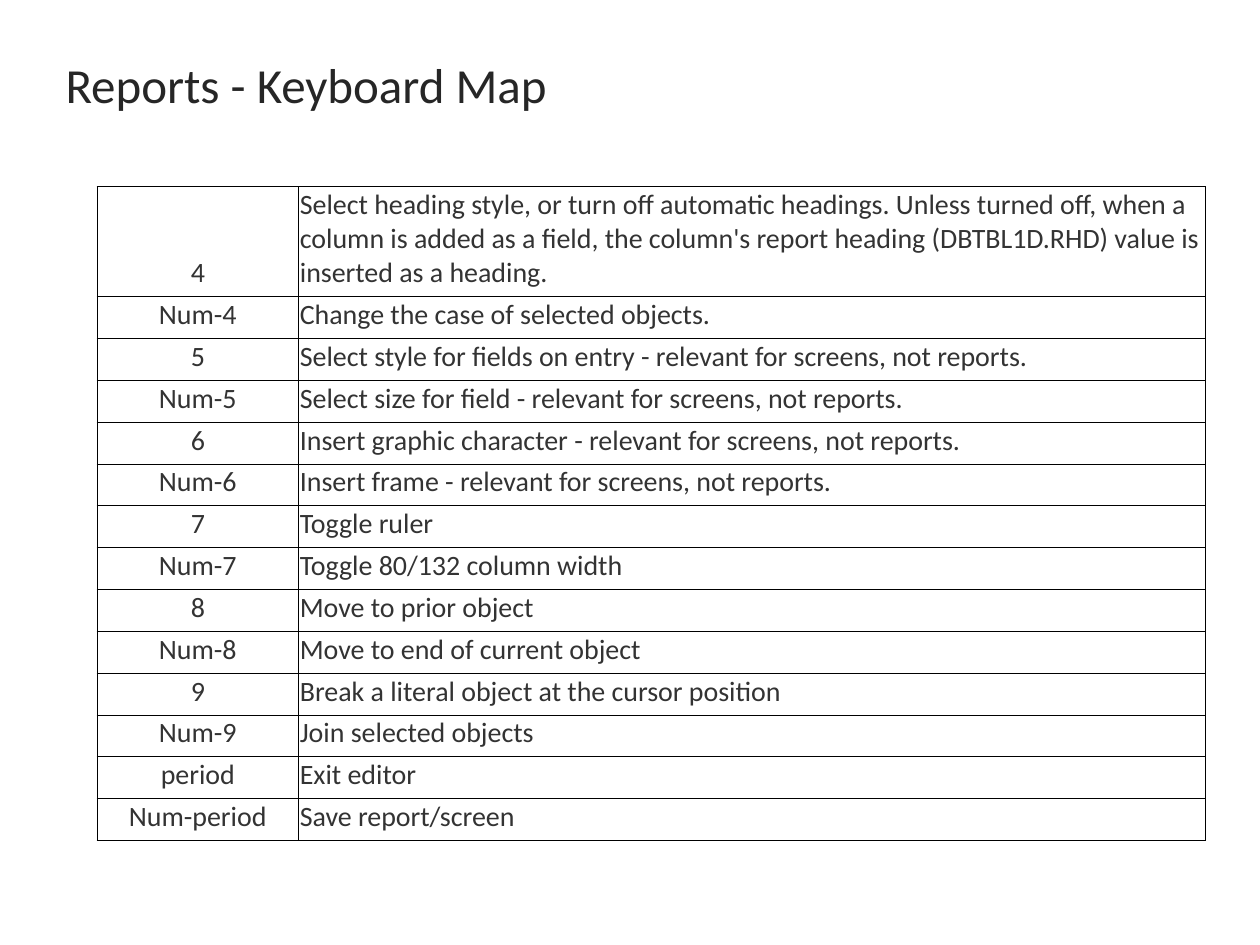
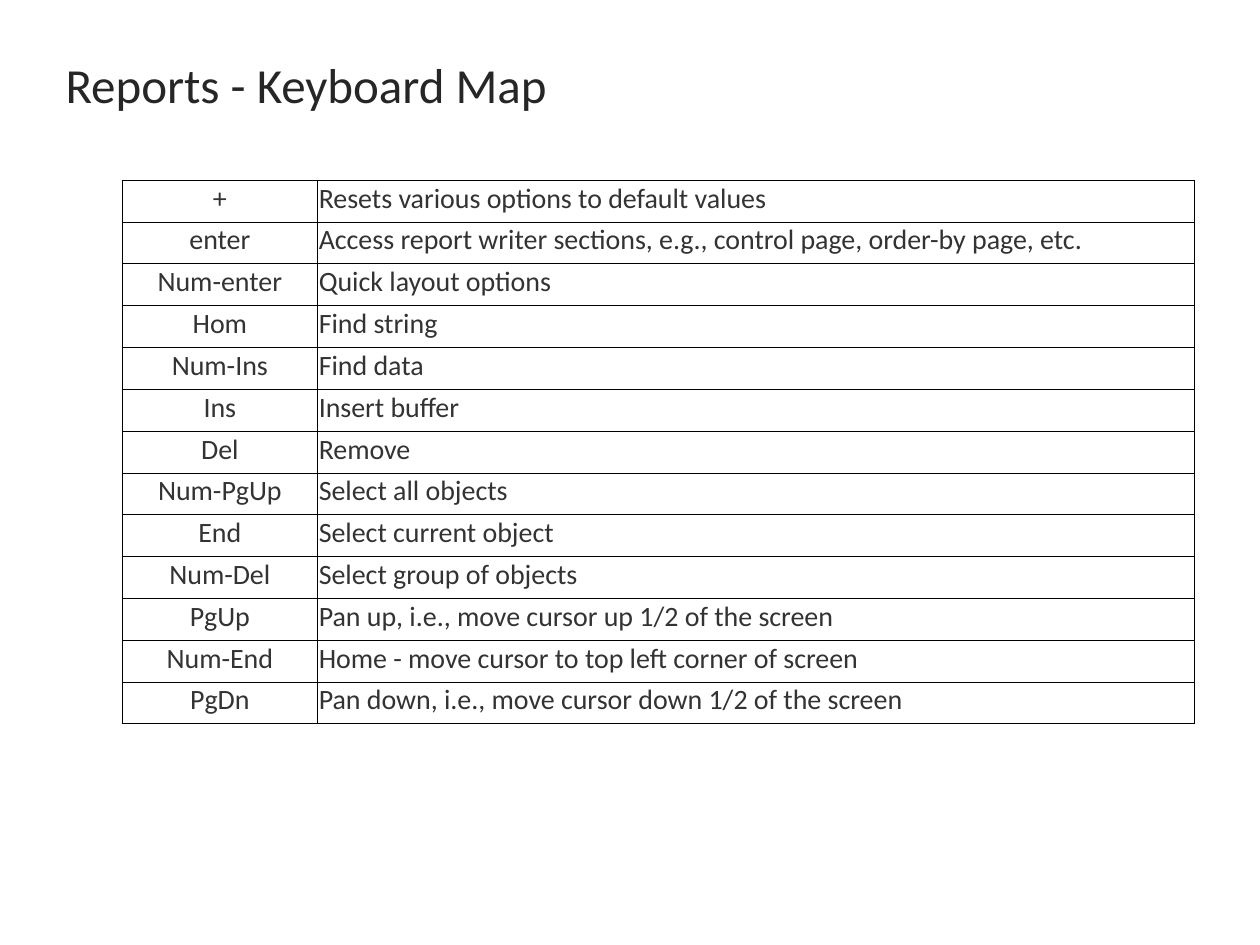
from dataclasses import dataclass
from lxml.etree import SubElement
from pptx import Presentation
from pptx.dml.color import RGBColor
from pptx.enum.text import MSO_ANCHOR, MSO_AUTO_SIZE, PP_ALIGN
from pptx.oxml.ns import qn
from pptx.presentation import Presentation as Deck
from pptx.slide import Slide
from pptx.table import _Cell
from pptx.text.text import TextFrame
from pptx.util import Emu, Pt


@dataclass(frozen=True)
class Theme:
    font: str = "Calibri"
    title_size: int = 28
    body_size: int = 16
    title_color: str = "262626"
    body_color: str = "333333"
    paper: str = "FFFFFF"
    rule: str = "000000"
    rule_width: float = 0.5


@dataclass(frozen=True)
class Box:
    left: int
    top: int
    width: int
    height: int


@dataclass(frozen=True)
class Shortcut:
    key: str
    action: str
    lines: int = 1


@dataclass(frozen=True)
class KeyboardMap:
    box: Box
    key_width: int
    shortcuts: tuple[Shortcut, ...]


THEME = Theme()
PX_PER_INCH = 100
TITLE = "Reports - Keyboard Map"
TITLE_BOX = Box(42, 21, 667, 92)
LINE_HEIGHT = 21
CELL_MARGIN = 1
CELL_BOTTOM_MARGIN = 5

KEYBOARD_MAPS = (
    KeyboardMap(Box(77, 148, 880, 511), 160, (
        Shortcut(
            "4",
            "Select heading style, or turn off automatic headings. "
            "Unless turned off, when a column is added as a field, "
            "the column's report heading (DBTBL1D.RHD) value is "
            "inserted as a heading.",
            lines=3,
        ),
        Shortcut("Num-4", "Change the case of selected objects."),
        Shortcut("5", "Select style for fields on entry - relevant for screens, not reports."),
        Shortcut("Num-5", "Select size for field - relevant for screens, not reports."),
        Shortcut("6", "Insert graphic character - relevant for screens, not reports."),
        Shortcut("Num-6", "Insert frame - relevant for screens, not reports."),
        Shortcut("7", "Toggle ruler"),
        Shortcut("Num-7", "Toggle 80/132 column width"),
        Shortcut("8", "Move to prior object"),
        Shortcut("Num-8", "Move to end of current object"),
        Shortcut("9", "Break a literal object at the cursor position"),
        Shortcut("Num-9", "Join selected objects"),
        Shortcut("period", "Exit editor"),
        Shortcut("Num-period", "Save report/screen"),
    )),
    KeyboardMap(Box(97, 143, 851, 425), 155, (
        Shortcut("+", "Resets various options to default values"),
        Shortcut("enter", "Access report writer sections, e.g., control page, order-by page, etc."),
        Shortcut("Num-enter", "Quick layout options"),
        Shortcut("Hom", "Find string"),
        Shortcut("Num-Ins", "Find data"),
        Shortcut("Ins", "Insert buffer"),
        Shortcut("Del", "Remove"),
        Shortcut("Num-PgUp", "Select all objects"),
        Shortcut("End", "Select current object"),
        Shortcut("Num-Del", "Select group of objects"),
        Shortcut("PgUp", "Pan up, i.e., move cursor up 1/2 of the screen"),
        Shortcut("Num-End", "Home - move cursor to top left corner of screen"),
        Shortcut("PgDn", "Pan down, i.e., move cursor down 1/2 of the screen"),
    )),
)


def px(length: int) -> Emu:
    return Emu(length * 914400 // PX_PER_INCH)


def write(frame: TextFrame, text: str, size: int, color: str, align: PP_ALIGN) -> None:
    paragraph = frame.paragraphs[0]
    paragraph.alignment = align
    run = paragraph.add_run()
    run.text = text
    run.font.name = THEME.font
    run.font.size = Pt(size)
    run.font.color.rgb = RGBColor.from_string(color)


def add_title(slide: Slide) -> None:
    title = slide.shapes.title
    title.left, title.top = px(TITLE_BOX.left), px(TITLE_BOX.top)
    title.width, title.height = px(TITLE_BOX.width), px(TITLE_BOX.height)
    frame = title.text_frame
    frame.word_wrap = True
    frame.auto_size = MSO_AUTO_SIZE.NONE
    frame.vertical_anchor = MSO_ANCHOR.MIDDLE
    write(frame, TITLE, THEME.title_size, THEME.title_color, PP_ALIGN.LEFT)


def rule_cell(cell: _Cell) -> None:
    properties = cell._tc.get_or_add_tcPr()
    for side in ("a:lnL", "a:lnR", "a:lnT", "a:lnB"):
        line = SubElement(properties, qn(side), w=str(Pt(THEME.rule_width)))
        fill = SubElement(line, qn("a:solidFill"))
        SubElement(fill, qn("a:srgbClr"), val=THEME.rule)


def fill_cell(cell: _Cell, text: str, align: PP_ALIGN) -> None:
    cell.margin_left = cell.margin_right = cell.margin_top = px(CELL_MARGIN)
    cell.margin_bottom = px(CELL_BOTTOM_MARGIN)
    cell.vertical_anchor = MSO_ANCHOR.BOTTOM
    rule_cell(cell)
    cell.fill.solid()
    cell.fill.fore_color.rgb = RGBColor.from_string(THEME.paper)
    write(cell.text_frame, text, THEME.body_size, THEME.body_color, align)


def add_keyboard_map(slide: Slide, keyboard_map: KeyboardMap) -> None:
    box = keyboard_map.box
    frame = slide.shapes.add_table(
        len(keyboard_map.shortcuts), 2,
        px(box.left), px(box.top), px(box.width), px(box.height),
    )
    table = frame.table
    table.first_row = table.horz_banding = False
    table.columns[0].width = px(keyboard_map.key_width)
    table.columns[1].width = px(box.width - keyboard_map.key_width)
    for index, shortcut in enumerate(keyboard_map.shortcuts):
        table.rows[index].height = px(LINE_HEIGHT * shortcut.lines)
        fill_cell(table.cell(index, 0), shortcut.key, PP_ALIGN.CENTER)
        fill_cell(table.cell(index, 1), shortcut.action, PP_ALIGN.LEFT)
    frame.height = px(box.height)


def add_keyboard_slide(deck: Deck, keyboard_map: KeyboardMap) -> None:
    slide = deck.slides.add_slide(deck.slide_layouts.get_by_name("Title Only"))
    slide.background.fill.solid()
    slide.background.fill.fore_color.rgb = RGBColor.from_string(THEME.paper)
    add_title(slide)
    add_keyboard_map(slide, keyboard_map)


def main() -> None:
    deck = Presentation()
    deck.slide_width, deck.slide_height = px(1000), px(750)
    for keyboard_map in KEYBOARD_MAPS:
        add_keyboard_slide(deck, keyboard_map)
    deck.save("out.pptx")


if __name__ == "__main__":
    main()
